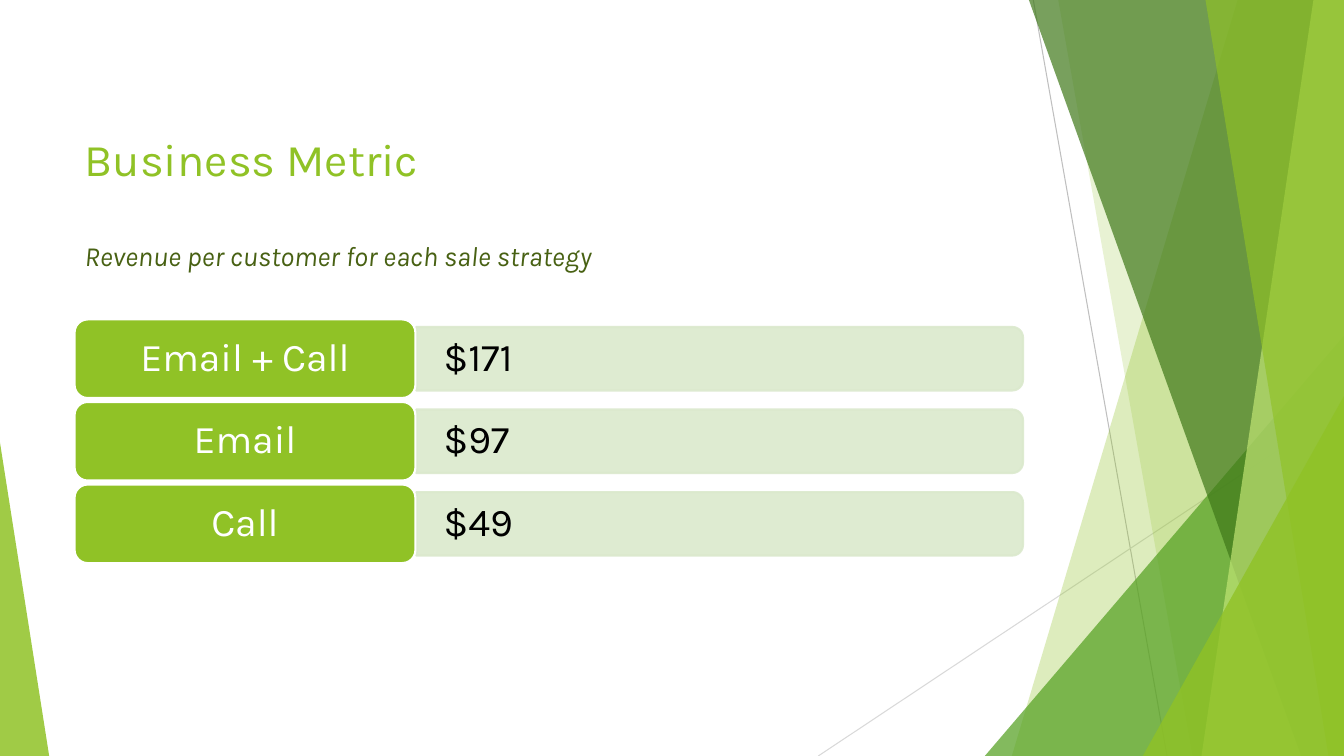
from lxml import etree
from pptx import Presentation
from pptx import util as u
from pptx.dml.color import RGBColor
from pptx.enum import shapes, text
from pptx.oxml import ns

LIME = RGBColor(0x90, 0xC2, 0x26)
GREEN = RGBColor(0x54, 0xA0, 0x21)
FOREST = RGBColor(0x3F, 0x78, 0x19)
PALE_LIME = RGBColor(0xC0, 0xE4, 0x74)
OLIVE = RGBColor(0x48, 0x61, 0x13)
MINT = RGBColor(0xDB, 0xE9, 0xCD)
GREY = RGBColor(0xBF, 0xBF, 0xBF)
LIGHT_GREY = RGBColor(0xD9, 0xD9, 0xD9)
WHITE = RGBColor(0xFF, 0xFF, 0xFF)
BLACK = RGBColor(0, 0, 0)

WIDTH, HEIGHT = 33.87, 19.05
LEFT, FIRST_TOP, ROW_STEP = 1.88, 8.05, 2.08
LABEL_WIDTH, LABEL_HEIGHT = 8.59, 1.98
BAR_LEFT, BAR_WIDTH, BAR_HEIGHT = 10.49, 15.29, 1.6
STRATEGIES = [("Email + Call", "$171"), ("Email", "$97"), ("Call", "$49")]


class MetricSlide:
    font = "Karla"

    def __init__(self, page):
        self.items = page.shapes

    def paint(self, shape, color, percent=100, line=None):
        shape.shadow.inherit = False
        shape.fill.solid()
        shape.fill.fore_color.rgb = color
        if line is None:
            shape.line.fill.background()
        else:
            shape.line.color.rgb = line
            shape.line.width = u.Pt(1.5)
        if percent < 100:
            for node in shape.element.spPr.iter(ns.qn("a:srgbClr")):
                etree.SubElement(node, ns.qn("a:alpha"), val=str(percent * 1000))

    def line(self, start, end, color):
        ends = [u.Cm(value) for value in (*start, *end)]
        line = self.items.add_connector(shapes.MSO_CONNECTOR.STRAIGHT, *ends)
        line.line.color.rgb = color
        line.line.width = u.Pt(0.75)
        etree.SubElement(line.element.spPr, ns.qn("a:effectLst"))

    def band(self, top_x, bottom_x, color, percent):
        corners = [(top_x, 0), (WIDTH, 0), (WIDTH, HEIGHT), (bottom_x, HEIGHT)]
        points = [(u.Cm(x), u.Cm(y)) for x, y in corners]
        builder = self.items.build_freeform(*points[0])
        builder.add_line_segments(points[1:], close=True)
        self.paint(builder.convert_to_shape(), color, percent)

    def shape(self, kind, left, top, width, height, color, percent=100, line=None):
        frame = [u.Cm(value) for value in (left, top, width, height)]
        shape = self.items.add_shape(kind, *frame)
        self.paint(shape, color, percent, line)
        return shape

    def triangle(self, left, top, width, apex, color, percent):
        shape = self.shape(shapes.MSO_SHAPE.ISOSCELES_TRIANGLE, left, top, width,
                           HEIGHT - top, color, percent)
        shape.adjustments[0] = apex

    def add_span(self, para, words, size, color, italic=False):
        span = para.add_run()
        span.text = words
        span.font.name = self.font
        span.font.size = u.Pt(size)
        span.font.color.rgb = color
        span.font.italic = italic

    def fill_text(self, box, words, color, align, margin):
        frame = box.text_frame
        frame.word_wrap = True
        frame.vertical_anchor = text.MSO_ANCHOR.MIDDLE
        frame.margin_left = frame.margin_right = u.Cm(margin)
        frame.margin_top = frame.margin_bottom = u.Cm(margin / 2)
        para = frame.paragraphs[0]
        para.alignment = align
        para.line_spacing = 0.9
        self.add_span(para, words, 28, color)

    def title(self, heading, subtitle):
        box = self.items.title
        box.left, box.top, box.width, box.height = (
            u.Cm(value) for value in (LEFT, 1.7, 23.88, 3.66))
        frame = box.text_frame
        frame.word_wrap = True
        frame.auto_size = text.MSO_AUTO_SIZE.NONE
        frame.vertical_anchor = text.MSO_ANCHOR.TOP
        frame.margin_left = u.Cm(0.25)
        frame.margin_top = u.Cm(1.6)
        first, second = frame.paragraphs[0], frame.add_paragraph()
        first.alignment = second.alignment = text.PP_ALIGN.LEFT
        second.space_before = u.Pt(38)
        self.add_span(first, heading, 32.4, LIME)
        self.add_span(second, subtitle, 19.8, OLIVE, italic=True)

    def metric(self, top, label, value):
        middle = top + LABEL_HEIGHT / 2
        bar = self.shape(shapes.MSO_SHAPE.ROUND_2_SAME_RECTANGLE,
                         BAR_LEFT + (BAR_WIDTH - BAR_HEIGHT) / 2, middle - BAR_WIDTH / 2,
                         BAR_HEIGHT, BAR_WIDTH, MINT, 90, MINT)
        bar.rotation = 90
        frame = (BAR_LEFT, middle - BAR_HEIGHT / 2, BAR_WIDTH, BAR_HEIGHT)
        box = self.items.add_textbox(*(u.Cm(length) for length in frame))
        self.fill_text(box, value, BLACK, text.PP_ALIGN.LEFT, 0.69)
        pill = self.shape(shapes.MSO_SHAPE.ROUNDED_RECTANGLE, LEFT, top,
                          LABEL_WIDTH, LABEL_HEIGHT, LIME, line=WHITE)
        self.fill_text(pill, label, WHITE, text.PP_ALIGN.CENTER, 0.3)


def main():
    deck = Presentation()
    deck.slide_width, deck.slide_height = u.Cm(WIDTH), u.Cm(HEIGHT)
    slide = MetricSlide(deck.slides.add_slide(deck.slide_layouts[5]))

    slide.line((26.04, 0), (29.41, HEIGHT), GREY)
    slide.line((WIDTH, 10.24), (20.62, HEIGHT), LIGHT_GREY)
    slide.band(31.19, 25.5, LIME, 30)
    slide.band(26.67, 30.05, LIME, 20)
    slide.triangle(24.82, 8.46, 9.05, 1, GREEN, 72)
    slide.band(25.93, 32.79, FOREST, 70)
    slide.band(33.1, 30.28, PALE_LIME, 70)
    slide.band(30.38, 33.48, LIME, 65)
    slide.triangle(28.8, 9.98, 5.07, 1, LIME, 80)
    slide.triangle(0, 11.15, 1.24, 0, LIME, 85)

    slide.title("Business Metric", "Revenue per customer for each sale strategy")
    for row, (label, value) in enumerate(STRATEGIES):
        slide.metric(FIRST_TOP + row * ROW_STEP, label, value)

    deck.save("out.pptx")


if __name__ == "__main__":
    main()
